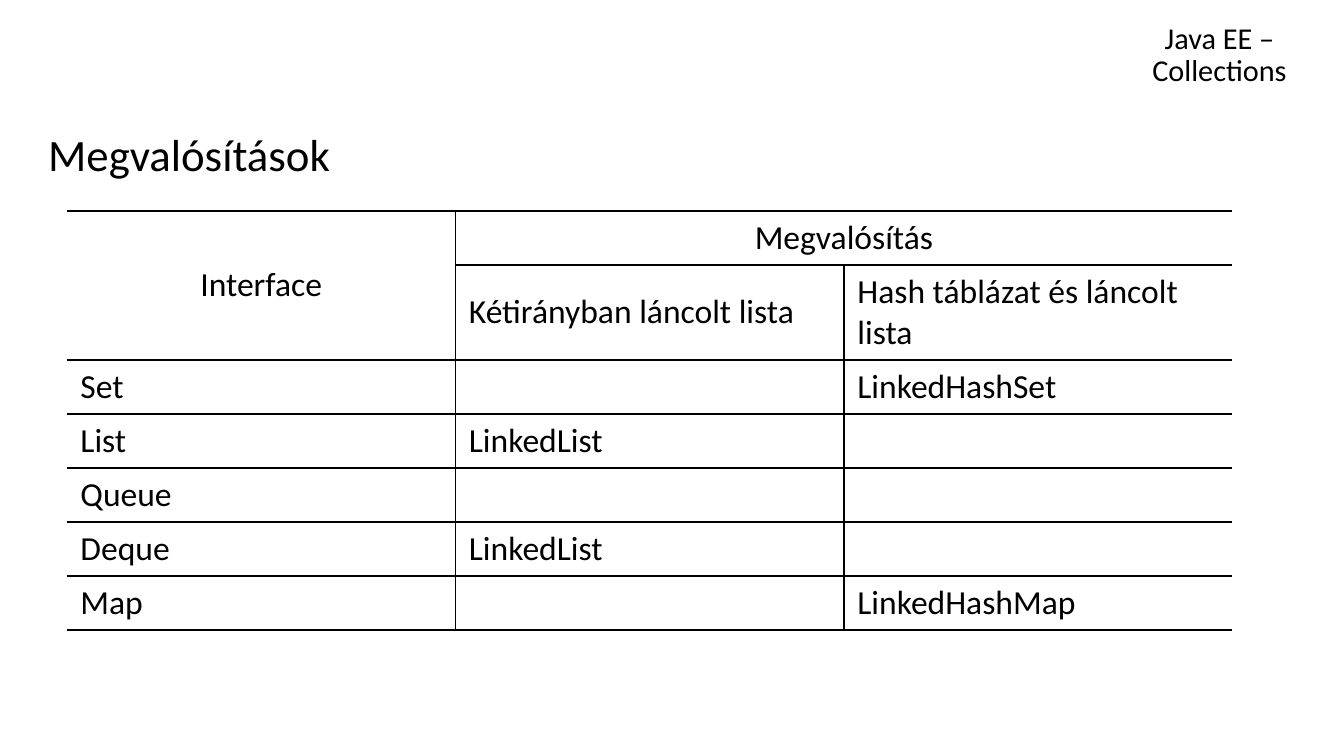
from dataclasses import dataclass

from lxml.etree import SubElement
from pptx import Presentation
from pptx.dml.color import RGBColor
from pptx.enum.text import MSO_ANCHOR, PP_ALIGN
from pptx.oxml.ns import qn
from pptx.util import Emu, Pt

PIXEL = 914400 / 134.4


@dataclass(frozen=True)
class Theme:
    """Colours, font and type sizes of the slide."""
    ink: str = "000000"
    font: str = "Calibri"
    header: float = 16.2
    title: float = 24
    body: float = 18
    border: float = 1


THEME = Theme()


def write(para, text, size):
    """Add one styled run to a paragraph."""
    span = para.add_run()
    span.text = text
    span.font.name = THEME.font
    span.font.size = Pt(size)
    span.font.color.rgb = RGBColor.from_string(THEME.ink)


def draw_border(cell, side, visible):
    """Set one border of a table cell, solid or empty."""
    line = SubElement(cell._tc.get_or_add_tcPr(), qn(f"a:ln{side}"))
    line.set("w", str(Pt(THEME.border)))
    if visible:
        fill = SubElement(line, qn("a:solidFill"))
        SubElement(fill, qn("a:srgbClr")).set("val", THEME.ink)
    else:
        SubElement(line, qn("a:noFill"))


deck = Presentation()
deck.slide_width = Emu(round(1344 * PIXEL))
deck.slide_height = Emu(round(756 * PIXEL))
page = deck.slides.add_slide(deck.slide_layouts[6])

# Headings
headings = [
    (("Java EE –", "Collections"), (1106, 9, 227, 86), THEME.header,
     PP_ALIGN.CENTER, MSO_ANCHOR.BOTTOM),
    (("Megvalósítások",), (35, 126, 1267, 65), THEME.title,
     PP_ALIGN.LEFT, MSO_ANCHOR.TOP),
]
for lines, place, size, align, anchor in headings:
    box = page.shapes.add_textbox(*(Emu(round(v * PIXEL)) for v in place))
    box.text_frame.word_wrap = True
    box.text_frame.vertical_anchor = anchor
    para = box.text_frame.paragraphs[0]
    para.alignment = align
    para.line_spacing = 0.9
    for number, text in enumerate(lines):
        if number:
            para.add_line_break()
        write(para, text, size)

# Table of implementations
ROWS = [
    ("Interface", "Megvalósítás", ""),
    ("", "Kétirányban láncolt lista", "Hash táblázat és láncolt lista"),
    ("Set", "", "LinkedHashSet"),
    ("List", "LinkedList", ""),
    ("Queue", "", ""),
    ("Deque", "LinkedList", ""),
    ("Map", "", "LinkedHashMap"),
]
ROW_HEIGHT, SUBHEAD_HEIGHT, COLUMN_WIDTH = 54, 95, 388.5
height = ROW_HEIGHT * (len(ROWS) - 1) + SUBHEAD_HEIGHT
frame = page.shapes.add_table(
    len(ROWS), 3, *(Emu(round(v * PIXEL)) for v in (67, 211, 3 * COLUMN_WIDTH, height)))
table = frame.table
table.first_row = False
table.horz_banding = False
for column in table.columns:
    column.width = Emu(round(COLUMN_WIDTH * PIXEL))
for r, row in enumerate(table.rows):
    row.height = Emu(round((SUBHEAD_HEIGHT if r == 1 else ROW_HEIGHT) * PIXEL))

table.cell(0, 0).merge(table.cell(1, 0))
table.cell(0, 1).merge(table.cell(0, 2))

for r, texts in enumerate(ROWS):
    for c, text in enumerate(texts):
        cell = table.cell(r, c)
        cell.vertical_anchor = MSO_ANCHOR.MIDDLE
        draw_border(cell, "L", c == 1 or (c == 2 and r > 0))
        draw_border(cell, "R", c == 0 or (c == 1 and r > 0))
        draw_border(cell, "T", (r, c) != (1, 0))
        draw_border(cell, "B", True)
        cell.fill.background()
        para = cell.text_frame.paragraphs[0]
        para.alignment = PP_ALIGN.CENTER if r == 0 else PP_ALIGN.LEFT
        if text:
            write(para, text, THEME.body)

deck.save("out.pptx")
